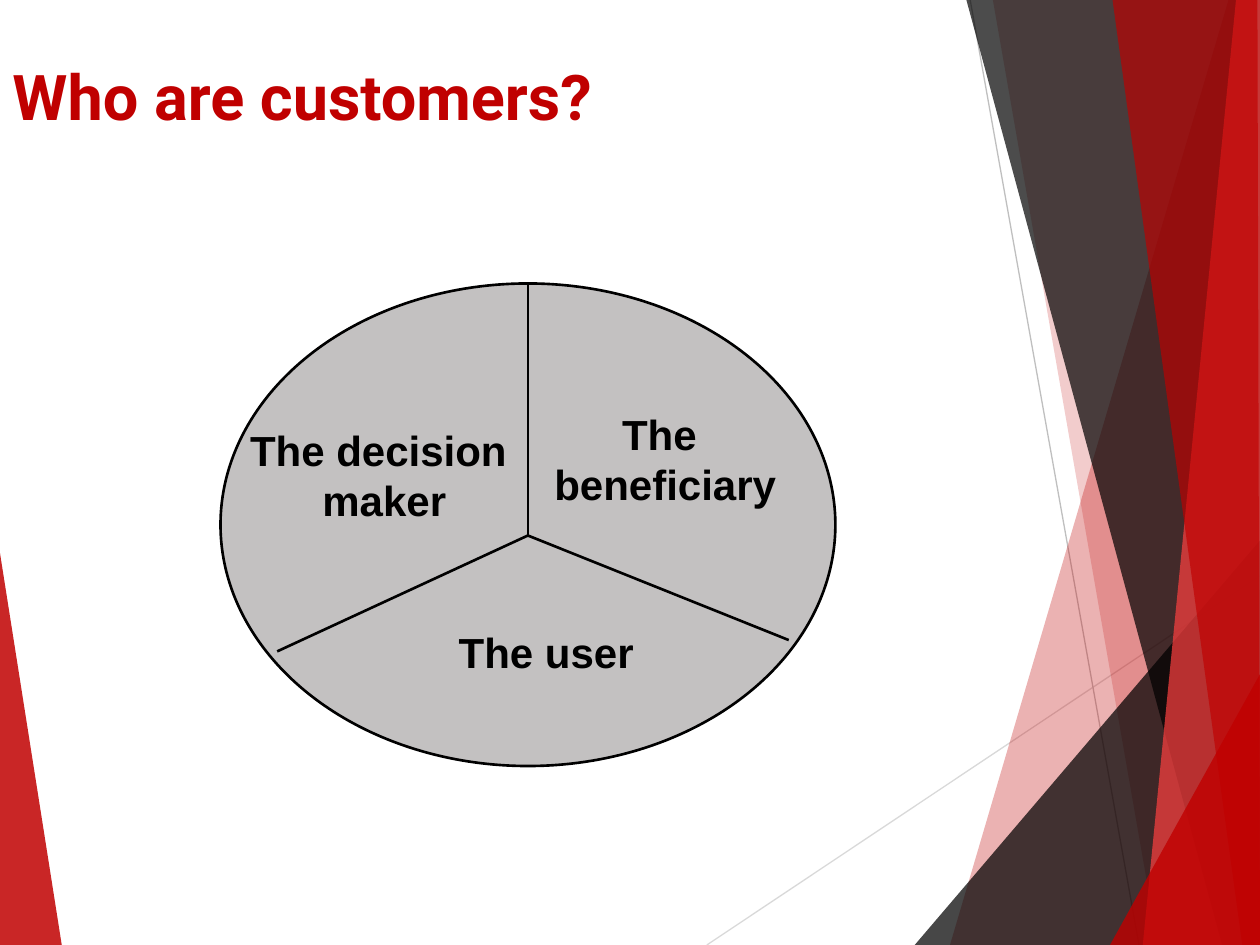
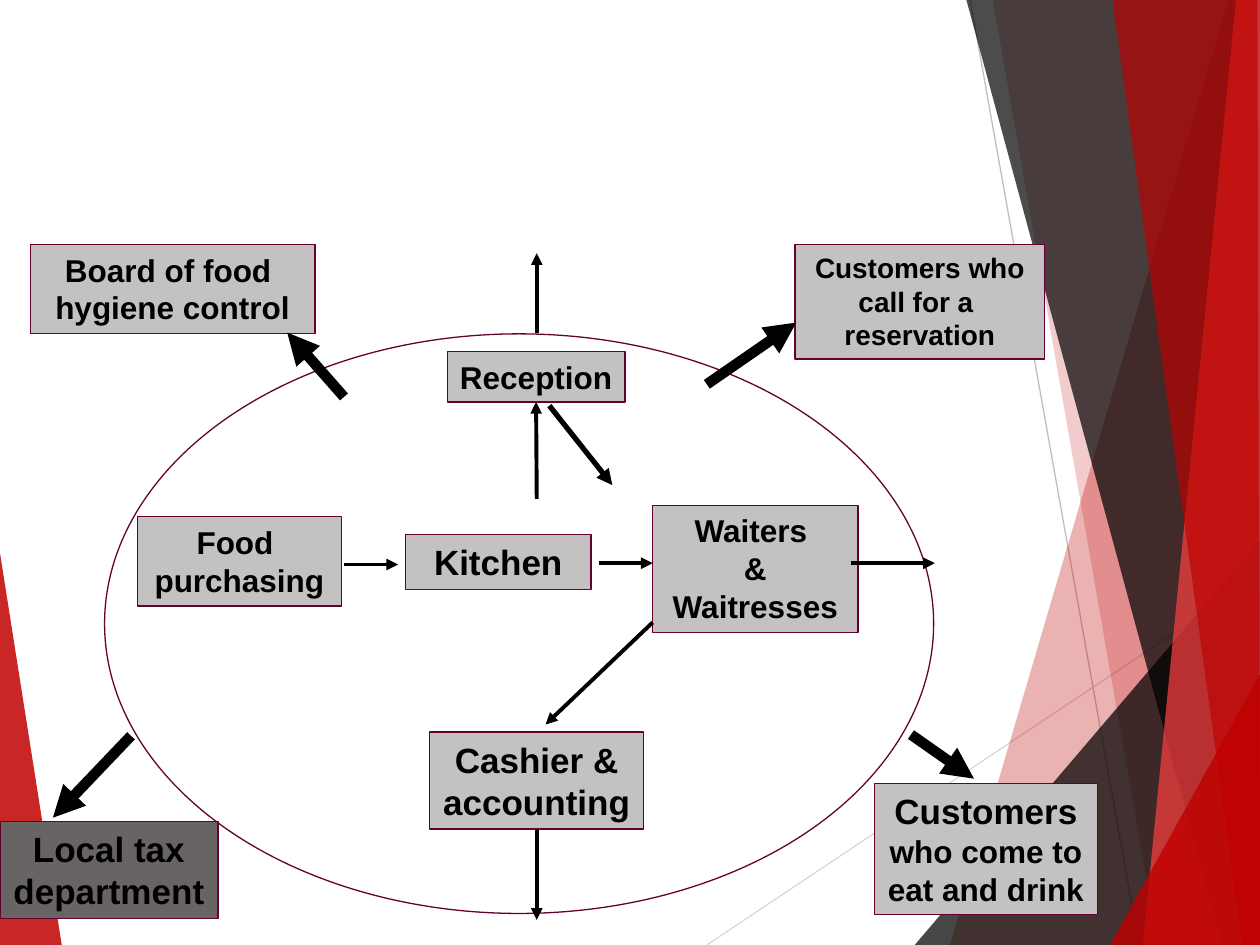
from dataclasses import dataclass
from typing import Any, NamedTuple, Optional

import pptx
import pptx.dml.color
import pptx.enum.shapes
import pptx.enum.text
import pptx.oxml
import pptx.oxml.ns
import pptx.util

PX = 9144  # EMU per px, 100 px to the inch
SLIDE_WIDTH, SLIDE_HEIGHT = 1000, 750
BOTTOM_SIDE = 2

MSO_SHAPE = pptx.enum.shapes.MSO_SHAPE
Point = tuple[int, int]


@dataclass(frozen=True)
class Theme:
    red: str = "C00000"
    bright_red: str = "FF4040"
    black: str = "000000"
    grey: str = "C3C1C1"
    dark_grey: str = "696464"
    plum: str = "660033"
    pale_line: str = "D9D9D9"
    mid_line: str = "BFBFBF"
    title_font: str = "Roboto"
    body_font: str = "Arial"
    title_size: int = 36
    wedge_size: int = 24
    large: int = 20
    medium: int = 18
    small: int = 16
    hairline: float = 0.75
    wedge_line: float = 1.5
    flow_line: float = 2.25
    return_line: float = 3
    outward_line: float = 6


THEME = Theme()


class Box(NamedTuple):
    left: int
    top: int
    width: int
    height: int


class Facet(NamedTuple):
    """A translucent polygon of the background."""
    color: str
    opacity: int
    points: tuple[Point, ...]


class Line(NamedTuple):
    start: Point
    end: Point
    color: str = THEME.black
    weight: float = THEME.flow_line
    arrow: bool = False


class Label(NamedTuple):
    """Centred lines of text; first_size sets the first line apart."""
    box: Box
    lines: tuple[str, ...]
    size: int
    fill: Optional[str] = THEME.grey
    first_size: Optional[int] = None


class Arrow(NamedTuple):
    start: Point
    end: Point
    weight: float = THEME.flow_line
    begin_at: Optional[str] = None
    end_at: Optional[str] = None


LEFT_FACET = Facet(THEME.red, 85, ((0, 439), (49, 750), (0, 750)))
BACKGROUND_LINES = (
    Line((561, 750), (1000, 457), THEME.pale_line, THEME.hairline),
    Line((770, 0), (904, 750), THEME.mid_line, THEME.hairline),
)
RIGHT_FACETS = (
    Facet(THEME.red, 30, ((975, 0), (754, 750), (1000, 750), (1000, 0))),
    Facet(THEME.red, 20, ((788, 0), (919, 750), (1000, 750), (1000, 0))),
    Facet(THEME.black, 72, ((726, 750), (1000, 429), (1000, 750))),
    Facet(THEME.black, 70, ((767, 0), (970, 750), (1000, 750), (1000, 0))),
    Facet(THEME.bright_red, 70, ((981, 0), (907, 750), (1000, 750), (1000, 0))),
    Facet(THEME.red, 65, ((883, 0), (986, 750), (1000, 750), (998, 0))),
    Facet(THEME.red, 80, ((881, 750), (1000, 535), (1000, 750))),
)

TITLE_BOX = Box(0, 38, 898, 79)
CUSTOMER_PIE = Box(175, 225, 488, 383)
PIE_CENTRE = (419, 425)
PIE_RIM = ((419, 225), (220, 517), (626, 508))
PIE_LABELS = (
    Label(Box(183, 332, 244, 91), ("The decision ", "maker"), THEME.wedge_size, None),
    Label(Box(430, 319, 196, 90), ("The ", "beneficiary"), THEME.wedge_size, None),
    Label(Box(354, 492, 159, 90), ("The user",), THEME.wedge_size, None),
)

RESTAURANT = Box(83, 265, 658, 460)
ROLES = {
    "reception": Label(Box(355, 279, 141, 40), ("Reception",), THEME.medium),
    "kitchen": Label(Box(322, 424, 147, 44), ("Kitchen",), THEME.large),
    "cashier": Label(Box(341, 581, 170, 77), ("Cashier &", "accounting"), THEME.large),
    "purchasing": Label(Box(109, 410, 162, 71), ("Food ", "purchasing"), THEME.medium),
    "hygiene": Label(Box(24, 194, 226, 71), ("Board of food ", "hygiene control"),
                     THEME.medium),
    "callers": Label(Box(631, 194, 198, 91),
                     ("Customers who", "call for a ", "reservation"), THEME.small),
    "waiters": Label(Box(518, 401, 163, 101), ("Waiters ", "&", "Waitresses"),
                     THEME.medium),
    "tax": Label(Box(0, 652, 173, 77), ("Local tax", "department"), THEME.large,
                 THEME.dark_grey),
    "diners": Label(Box(694, 622, 177, 104),
                    ("Customers", "who come to", "eat and drink"), THEME.medium,
                    first_size=THEME.large),
}
ARROWS = (
    Arrow((273, 448), (316, 448)),
    Arrow((475, 447), (518, 447)),
    Arrow((675, 447), (742, 447)),
    Arrow((426, 396), (426, 319), end_at="reception"),
    Arrow((518, 494), (433, 575)),
    Arrow((436, 322), (486, 385), THEME.return_line),
    Arrow((426, 264), (426, 201)),
    Arrow((426, 660), (426, 730), begin_at="cashier"),
    Arrow((561, 305), (632, 256), THEME.outward_line),
    Arrow((723, 583), (773, 618), THEME.outward_line),
    Arrow((104, 584), (42, 649), THEME.outward_line),
    Arrow((273, 315), (228, 264), THEME.outward_line),
)


def emu(*lengths: int) -> tuple[int, ...]:
    return tuple(length * PX for length in lengths)


def rgb(color: str) -> pptx.dml.color.RGBColor:
    return pptx.dml.color.RGBColor.from_string(color)


def apply_format(target: Any, values: dict[str, Any]) -> None:
    for name, value in values.items():
        setattr(target, name, value)


def add_child(parent: Any, tag: str, **attributes: str) -> None:
    child = pptx.oxml.parse_xml(f"<a:{tag} {pptx.oxml.ns.nsdecls('a')}/>")
    for name, value in attributes.items():
        child.set(name, value)
    parent.append(child)


def paint(shape: Any, fill: Optional[str], line: Optional[str],
          weight: float = THEME.hairline) -> None:
    """Set fill and outline; None leaves either one empty."""
    shape.shadow.inherit = False
    if fill:
        shape.fill.solid()
        shape.fill.fore_color.rgb = rgb(fill)
    else:
        shape.fill.background()
    if line:
        shape.line.color.rgb = rgb(line)
        shape.line.width = pptx.util.Pt(weight)
    else:
        shape.line.fill.background()


def draw_facet(page: Any, facet: Facet) -> None:
    builder = page.shapes.build_freeform(*facet.points[0], scale=PX)
    builder.add_line_segments(facet.points[1:], close=True)
    shape = builder.convert_to_shape()
    paint(shape, facet.color, None)
    color = next(shape.fill._xPr.iter(pptx.oxml.ns.qn("a:srgbClr")))
    add_child(color, "alpha", val=str(facet.opacity * 1000))


def draw_line(page: Any, line: Line) -> Any:
    connector = page.shapes.add_connector(
        pptx.enum.shapes.MSO_CONNECTOR.STRAIGHT, *emu(*line.start, *line.end))
    connector.line.color.rgb = rgb(line.color)
    connector.line.width = pptx.util.Pt(line.weight)
    if line.arrow:
        add_child(connector.line._get_or_add_ln(), "tailEnd", type="triangle")
    add_child(connector._element.spPr, "effectLst")
    return connector


def draw_ellipse(page: Any, box: Box, fill: Optional[str], line: str,
                 weight: float) -> None:
    paint(page.shapes.add_shape(MSO_SHAPE.OVAL, *emu(*box)), fill, line, weight)


def write_line(para: Any, text: str, size: int, font: str, color: str) -> None:
    span = para.add_run()
    span.text = text
    apply_format(span.font, {"name": font, "size": pptx.util.Pt(size), "bold": True})
    span.font.color.rgb = rgb(color)


def draw_label(page: Any, label: Label) -> Any:
    """Draw a filled box with text, or plain text when there is no fill."""
    if label.fill:
        shape = page.shapes.add_shape(MSO_SHAPE.RECTANGLE, *emu(*label.box))
        paint(shape, label.fill, THEME.plum)
    else:
        shape = page.shapes.add_textbox(*emu(*label.box))
    frame = shape.text_frame
    apply_format(frame, {"word_wrap": False,
                         "vertical_anchor": pptx.enum.text.MSO_ANCHOR.TOP})
    for index, text in enumerate(label.lines):
        para = frame.add_paragraph() if index else frame.paragraphs[0]
        para.alignment = pptx.enum.text.PP_ALIGN.CENTER
        size = label.size if index else label.first_size or label.size
        write_line(para, text, size, THEME.body_font, THEME.black)
    return shape


def draw_title(page: Any, text: str) -> None:
    frame = page.shapes.add_textbox(*emu(*TITLE_BOX)).text_frame
    apply_format(frame, {"word_wrap": True, "margin_top": 8 * PX})
    write_line(frame.paragraphs[0], text, THEME.title_size, THEME.title_font, THEME.red)


def add_page(deck: Any) -> Any:
    """Add a blank slide with the shared faceted background."""
    page = deck.slides.add_slide(deck.slide_layouts[6])
    draw_facet(page, LEFT_FACET)
    for line in BACKGROUND_LINES:
        draw_line(page, line)
    for facet in RIGHT_FACETS:
        draw_facet(page, facet)
    return page


def build_customers(deck: Any) -> None:
    page = add_page(deck)
    draw_title(page, "Who are customers?")
    draw_ellipse(page, CUSTOMER_PIE, THEME.grey, THEME.black, THEME.wedge_line)
    for rim_point in PIE_RIM:
        draw_line(page, Line(PIE_CENTRE, rim_point, weight=THEME.wedge_line))
    for label in PIE_LABELS:
        draw_label(page, label)


def build_restaurant(deck: Any) -> None:
    page = add_page(deck)
    draw_ellipse(page, RESTAURANT, None, THEME.plum, THEME.hairline)
    boxes = {role: draw_label(page, label) for role, label in ROLES.items()}
    for arrow in ARROWS:
        connector = draw_line(
            page, Line(arrow.start, arrow.end, weight=arrow.weight, arrow=True))
        if arrow.begin_at:
            connector.begin_connect(boxes[arrow.begin_at], BOTTOM_SIDE)
        if arrow.end_at:
            connector.end_connect(boxes[arrow.end_at], BOTTOM_SIDE)


def main() -> None:
    deck = pptx.Presentation()
    apply_format(deck, {"slide_width": SLIDE_WIDTH * PX,
                        "slide_height": SLIDE_HEIGHT * PX})
    build_customers(deck)
    build_restaurant(deck)
    deck.save("out.pptx")


if __name__ == "__main__":
    main()
